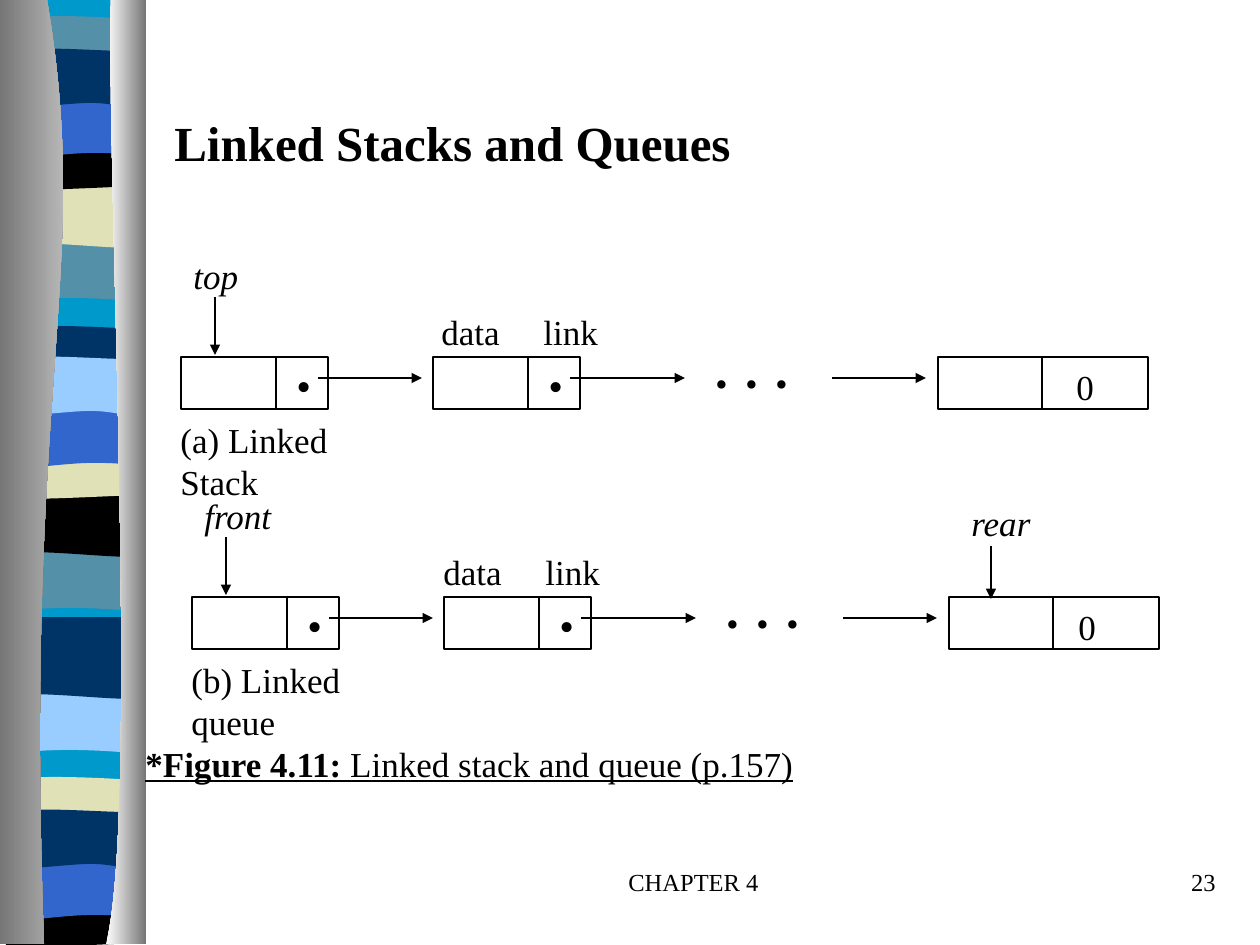
import pptx
import pptx.util
import pptx.dml.color
import pptx.enum.shapes
import pptx.enum.text
import lxml.etree as etree

RGB = pptx.dml.color.RGBColor
BLACK = RGB(0, 0, 0)
CYAN = RGB(0x00, 0x99, 0xCC)
TEAL = RGB(0x54, 0x90, 0xA8)
CREAM = RGB(0xE1, 0xE1, 0xB7)
BLUE = RGB(0x33, 0x66, 0xCC)
NAVY = RGB(0x00, 0x33, 0x66)
SKY = RGB(0x99, 0xCC, 0xFF)
DARK = RGB(0x76, 0x76, 0x76)
LIGHT = RGB(0xD5, 0xD5, 0xD5)
WHITE = RGB(0xFF, 0xFF, 0xFF)

SCALE = 914400 / 126
ALIGN = pptx.enum.text.PP_ALIGN
ANCHOR = pptx.enum.text.MSO_ANCHOR
NS = "{http://schemas.openxmlformats.org/drawingml/2006/main}"

# Outlines of the ribbon bands: points, or curves of two controls and an end
LEFT, RIGHT = 6, 144
BANDS = {
    "dip": [(RIGHT, 0), (RIGHT, 69), (49, 60, 30, 69, LEFT, 67),
            (LEFT, 0), (RIGHT, 0)],
    "swell": [(RIGHT, -12), (RIGHT, 69), (121, 73, 49, 62, LEFT, 66),
              (LEFT, -12), (RIGHT, -12)],
    "crest": [(RIGHT, 0), (RIGHT, 37), (121, 42, 30, 42, LEFT, 37),
              (LEFT, 0), (15, -4, 36, -4, 59, -4),
              (82, -4, 126, -2, RIGHT, 0)],
    "bowl": [(RIGHT, 0), (RIGHT, 50), (121, 50, 30, 56, LEFT, 53),
             (LEFT, 0), (91, 6, 115, 0, RIGHT, 0)],
    "arch": [(RIGHT, 0), (RIGHT, 65), (122, 60, 113, 60, 91, 60),
             (68, 60, 28, 66, LEFT, 66), (LEFT, 0), (RIGHT, 0)],
    "wave": [(RIGHT, 0), (RIGHT, 57), (135, 58, 113, 51, 91, 51),
             (68, 51, 21, 58, LEFT, 55), (LEFT, 0),
             (26, -7, 99, -1, 122, -1), (RIGHT, -1, 138, 0, RIGHT, 0)],
}
RIBBON = [
    ("dip", 233, TEAL), ("swell", 178, CREAM), ("crest", 20, TEAL),
    ("bowl", 136, BLACK), ("arch", 93, BLUE), ("wave", 52, NAVY),
    ("dip", 543, TEAL), ("swell", 487, BLACK), ("crest", 330, NAVY),
    ("bowl", 445, CREAM), ("arch", 403, BLUE), ("wave", 360, SKY),
    ("dip", 685, SKY), ("swell", 629, NAVY), ("crest", 781, CREAM),
    ("bowl", 893, BLACK), ("arch", 855, BLUE), ("wave", 813, NAVY),
]
EDGES = [
    ([(47, 0), (93, 272, 23, 373, 44, 944), (0, 944), (0, 0), (47, 0)],
     DARK, LIGHT),
    ([(111, 0), (106, 158, 140, 814, 106, 944), (146, 944), (146, 0),
      (111, 0)], WHITE, DARK),
]


def px(n):
    return round(n * SCALE)


def bend(shape, path):
    """Join each three points of a curve into one Bezier segment."""
    outline = shape._element.find(".//" + NS + "path")
    lines = iter(outline.findall(NS + "lnTo"))
    for part in path[1:]:
        first = next(lines)
        if len(part) == 2:
            continue
        first.addprevious(etree.Element(NS + "cubicBezTo"))
        curve = first.getprevious()
        for line in (first, next(lines), next(lines)):
            curve.append(line[0])
            outline.remove(line)


class Deck:
    font = "Times New Roman"
    ink = BLACK
    width = 0.75

    def __init__(self):
        self.file = pptx.Presentation()
        self.file.slide_width = px(1260)
        self.file.slide_height = px(945)
        self.slide = self.file.slides.add_slide(self.file.slide_layouts[6])
        self.shapes = self.slide.shapes

    def free(self, path, fill, end=None, drop=0):
        """Draw a filled outline; a second colour makes a gradient."""
        pts = [(px(part[i]), px(part[i + 1] + drop))
               for part in path for i in range(0, len(part), 2)]
        pen = self.shapes.build_freeform(*pts[0], scale=1.0)
        pen.add_line_segments(pts[1:], close=True)
        shape = pen.convert_to_shape()
        bend(shape, path)
        shape.shadow.inherit = False
        shape.line.fill.background()
        if end is None:
            shape.fill.solid()
            shape.fill.fore_color.rgb = fill
        else:
            shape.fill.gradient()
            shape.fill.gradient_angle = 0
            for stop, tint in zip(shape.fill.gradient_stops, (fill, end)):
                stop.color.rgb = tint

    def box(self, x, y, w, h):
        shape = self.shapes.add_shape(
            pptx.enum.shapes.MSO_SHAPE.RECTANGLE, px(x), px(y), px(w), px(h))
        shape.shadow.inherit = False
        shape.fill.background()
        self.stroke(shape.line)

    def stroke(self, line):
        line.color.rgb = self.ink
        line.width = pptx.util.Pt(self.width)

    def line(self, x, y, to_x, to_y, head=False):
        link = self.shapes.add_connector(
            pptx.enum.shapes.MSO_CONNECTOR.STRAIGHT,
            px(x), px(y), px(to_x), px(to_y))
        self.stroke(link.line)
        if head:
            ln = link.line._get_or_add_ln()
            etree.SubElement(ln, NS + "tailEnd", type="triangle")
        etree.SubElement(link._element.spPr, NS + "effectLst")

    def text(self, words, x, y, w, h=54, size=20, bold=None, slant=None,
             align=ALIGN.LEFT, anchor=ANCHOR.TOP, indent=0, tabs=()):
        frame = self.shapes.add_textbox(px(x), px(y), px(w), px(h)).text_frame
        frame.word_wrap = True
        frame.vertical_anchor = anchor
        para = frame.paragraphs[0]
        para.alignment = align
        props = para._p.get_or_add_pPr()
        if indent:
            props.set("marL", str(px(indent)))
        if tabs:
            stops = etree.SubElement(props, NS + "tabLst")
            for tab in tabs:
                etree.SubElement(stops, NS + "tab", pos=str(px(tab)), algn="l")
        font = para.font
        font.name = self.font
        font.size = pptx.util.Pt(size)
        font.color.rgb = self.ink
        font.bold = bold
        font.italic = slant
        if words:
            para.add_run().text = words
        return para

    def node(self, x, y, w, split):
        self.box(x, y, w, 52)
        self.line(x + split, y, x + split, y + 52)

    def chain(self, x, y, name, note, labels, zero):
        """Draw a linked list whose first node starts at x, y."""
        for left in (x, x + 252):
            self.node(left, y, 147, 95)
            self.text("•", left - 2, y - 4, 150, 63, size=24, indent=105)
        self.node(x + 757, y, 210, 104)
        for start, end in ((137, 241), (389, 504), (651, 745)):
            self.line(x + start, y + 21, x + end, y + 21, head=True)
        self.text("•\t•\t•", x + 522, y - 2, 108, tabs=(30, 60))
        self.text("0", x + 744, y + 2, 184, indent=zero)
        self.text("data\tlink", labels, y - 53, 184, tabs=(102,))
        self.text(name, x, y - 109, 100, slant=True)
        self.line(x + 34, y - 60, x + 34, y - 2, head=True)
        self.text(note, x - 13, y + 55, 256)


def main():
    deck = Deck()
    deck.free([(RIGHT, 0), (RIGHT, 942), (LEFT, 942), (LEFT, 0), (RIGHT, 0)],
              CYAN)
    for kind, top, tint in RIBBON:
        deck.free(BANDS[kind], tint, drop=top)
    for path, start, end in EDGES:
        deck.free(path, start, end)

    deck.text("CHAPTER 4", 494, 861, 399, 63, size=14, align=ALIGN.CENTER)
    deck.text("23", 966, 861, 262, 63, size=14, align=ALIGN.RIGHT)
    deck.text("Linked Stacks and Queues", 162, 63, 1071, 158, size=28,
              bold=True, anchor=ANCHOR.MIDDLE)

    deck.chain(181, 357, "top", "(a) Linked Stack", labels=429, zero=139)
    deck.chain(192, 597, "front", "(b) Linked queue", labels=431, zero=130)
    deck.text("rear", 959, 495, 95, slant=True)
    deck.line(991, 546, 991, 599, head=True)

    figure = deck.text("", 133, 736, 690)
    figure.font.underline = True
    lead = figure.add_run()
    lead.text = "*Figure 4.11: "
    lead.font.bold = True
    figure.add_run().text = "Linked stack and queue (p.157)"

    deck.file.save("out.pptx")


if __name__ == "__main__":
    main()
